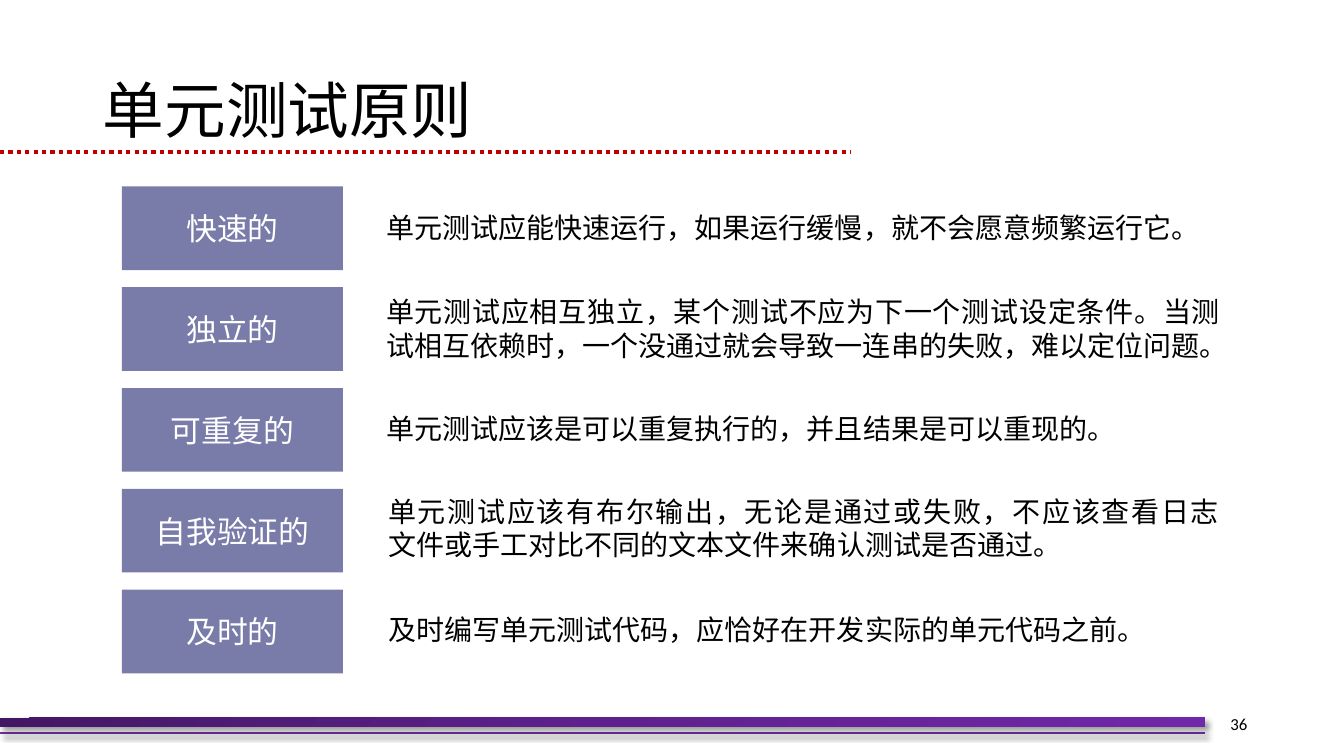
"""Build the slide on the principles of unit testing."""
from copy import deepcopy

from lxml.etree import SubElement
from pptx import Presentation
from pptx.dml.color import RGBColor
from pptx.enum.dml import MSO_LINE
from pptx.enum.shapes import MSO_CONNECTOR, MSO_SHAPE
from pptx.enum.text import MSO_ANCHOR, MSO_AUTO_SIZE, PP_ALIGN
from pptx.oxml import parse_xml
from pptx.oxml.ns import nsdecls, qn
from pptx.util import Pt

PX = 9144
CJK = "Noto Sans CJK SC"
COLORS = {
    "text": "000000",
    "label": "797BA9",
    "label_text": "FFFFFF",
    "dots": "C00000",
    "footer_line": "7030A0",
    "bar": ["431764", "5F218E", "7128A8"],
}
SHADOW = f"""<a:effectLst {nsdecls('a')}>
  <a:outerShdw blurRad="50800" dist="38100" dir="2700000" algn="tl" rotWithShape="0">
    <a:srgbClr val="000000"><a:alpha val="40000"/></a:srgbClr>
  </a:outerShdw>
</a:effectLst>"""
PRINCIPLES = [
    ("快速的", (383, 208, 808, 36), 0, "单元测试应能快速运行，如果运行缓慢，就不会愿意频繁运行它。"),
    ("独立的", (383, 285, 836, 81), 50,
     "单元测试应相互独立，某个测试不应为下一个测试设定条件。当测\v"
     "试相互依赖时，一个没通过就会导致一连串的失败，难以定位问题。"),
    ("可重复的", (383, 407, 725, 36), 0, "单元测试应该是可以重复执行的，并且结果是可以重现的。"),
    ("自我验证的", (385, 483, 828, 81), 120,
     "单元测试应该有布尔输出，无论是通过或失败，不应该查看日志\v"
     "文件或手工对比不同的文本文件来确认测试是否通过。"),
    ("及时的", (385, 606, 753, 36), 0, "及时编写单元测试代码，应恰好在开发实际的单元代码之前。"),
]


def write(shape, text, size, color, align=PP_ALIGN.LEFT, font=CJK, inset=0):
    frame = shape.text_frame
    frame.word_wrap = True
    frame.auto_size = MSO_AUTO_SIZE.NONE
    frame.vertical_anchor = MSO_ANCHOR.MIDDLE
    frame.margin_left = frame.margin_right = inset * PX
    frame.margin_top = frame.margin_bottom = 0
    para = frame.paragraphs[0]
    para.text = text
    para.alignment = align
    for span in para.runs:
        span.font.name = font
        span.font.size = Pt(size)
        span.font.color.rgb = RGBColor.from_string(COLORS[color])
        SubElement(span.font._element, qn("a:ea")).set("typeface", font)
    return para


def draw_rule(page, y, right, width, color):
    rule = page.shapes.add_connector(MSO_CONNECTOR.STRAIGHT, 0, y * PX, right * PX, y * PX)
    rule.line.width = Pt(width)
    rule.line.color.rgb = RGBColor.from_string(COLORS[color])
    return rule


deck = Presentation()
deck.slide_width, deck.slide_height = 1333 * PX, 750 * PX
page = deck.slides.add_slide(deck.slide_layouts[5])

title = page.shapes.title
title.left, title.top, title.width, title.height = 92 * PX, 40 * PX, 1150 * PX, 145 * PX
write(title, "单元测试原则", 44, "text", inset=10).line_spacing = 0.9

footer_rule = draw_rule(page, 727, 1195, 1.5, "footer_line")
footer_rule._element.spPr.append(parse_xml(SHADOW))

bar = page.shapes.add_shape(MSO_SHAPE.RECTANGLE, 0, 712 * PX, 1195 * PX, 9 * PX)
bar.line.fill.background()
bar.fill.gradient()
bar.fill.gradient_angle = 315
stop_list = bar._element.spPr.find(".//" + qn("a:gsLst"))
stop_list.insert(1, deepcopy(stop_list[0]))
for index, (stop, color) in enumerate(zip(bar.fill.gradient_stops, COLORS["bar"])):
    stop.position = index / 2
    stop.color.rgb = RGBColor.from_string(color)
bar._element.spPr.append(parse_xml(SHADOW))

title_rule = draw_rule(page, 151, 844, 3, "dots")
title_rule.line.dash_style = MSO_LINE.ROUND_DOT
SubElement(title_rule._element.spPr, qn("a:effectLst"))

for row, (name, area, spacing, detail) in enumerate(PRINCIPLES):
    label = page.shapes.add_shape(
        MSO_SHAPE.RECTANGLE, 121 * PX, (185 + 100 * row) * PX, 219 * PX, 83 * PX)
    label.shadow.inherit = False
    label.fill.solid()
    label.fill.fore_color.rgb = RGBColor.from_string(COLORS["label"])
    label.line.fill.background()
    write(label, name, 22, "label_text", PP_ALIGN.CENTER)

    box = page.shapes.add_textbox(*(length * PX for length in area))
    para = write(box, detail, 20, "text")
    if spacing:
        para.runs[0].font._element.set("spc", str(spacing))

number = page.shapes.add_textbox(1138 * PX, 698 * PX, 109 * PX, 40 * PX)
write(number, "36", 12, "text", PP_ALIGN.RIGHT, "Calibri", 10)

deck.save("out.pptx")
